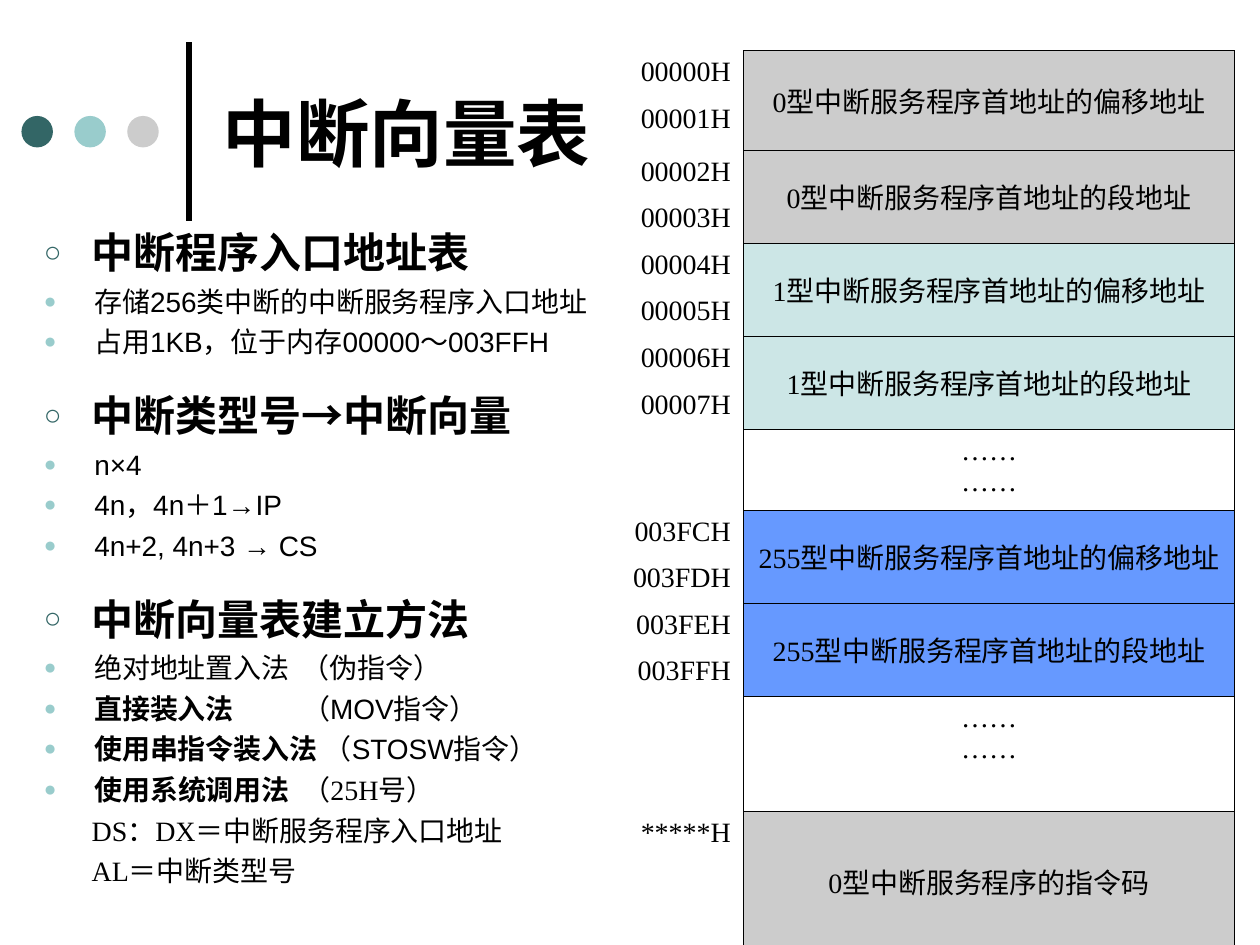
"""Build the interrupt vector table slide."""
from lxml.etree import SubElement
from pptx import Presentation
from pptx.dml.color import RGBColor
from pptx.enum.shapes import MSO_CONNECTOR, MSO_SHAPE
from pptx.enum.text import MSO_ANCHOR, PP_ALIGN
from pptx.oxml.ns import qn
from pptx.util import Inches, Pt


def paint(fill, color):
    fill.solid()
    fill.fore_color.rgb = RGBColor.from_string(color)


def add_text(paragraph, text, size=16, font="Arial", bold=False, alignment=PP_ALIGN.LEFT):
    paragraph.alignment = alignment
    run = paragraph.add_run()
    run.text = text
    run.font.size = Pt(size)
    run.font.name = font
    run.font.bold = bold
    paint(run.font.fill, "000000")


SERIF = "Times New Roman"
presentation = Presentation()
presentation.slide_width = Inches(10)
presentation.slide_height = Inches(7.5)
slide = presentation.slides.add_slide(presentation.slide_layouts[6])

divider = slide.shapes.add_connector(
    MSO_CONNECTOR.STRAIGHT, Inches(1.5), Inches(1.75), Inches(1.5), Inches(0.33))
paint(divider.line.fill, "000000")
divider.line.width = Pt(3)
SubElement(divider._element.spPr, qn("a:effectLst"))

for index, color in enumerate(["336666", "99CCCC", "CCCCCC"]):
    dot = slide.shapes.add_shape(
        MSO_SHAPE.OVAL, Inches(0.17 + 0.42 * index), Inches(0.92), Inches(0.25), Inches(0.25))
    dot.shadow.inherit = False
    paint(dot.fill, color)
    dot.line.fill.background()

title = slide.shapes.add_textbox(Inches(1.67), Inches(0.21), Inches(7.67), Inches(1.67))
title.text_frame.word_wrap = True
title.text_frame.vertical_anchor = MSO_ANCHOR.MIDDLE
add_text(title.text_frame.paragraphs[0], "中断向量表", size=42, bold=True)

row_heights = [0.37, 0.42] + [0.37] * 6 + [0.64] + [0.37] * 5 + [0.54, 0.64, 0.48]
addresses = {0: "00000H", 1: "00001H", 2: "00002H", 3: "00003H", 4: "00004H", 5: "00005H",
             6: "00006H", 7: "00007H", 9: "003FCH", 10: "003FDH", 11: "003FEH",
             12: "003FFH", 15: "*****H"}
entries = [
    (0, 2, "0型中断服务程序首地址的偏移地址", "CCCCCC"),
    (2, 2, "0型中断服务程序首地址的段地址", "CCCCCC"),
    (4, 2, "1型中断服务程序首地址的偏移地址", "CCE6E6"),
    (6, 2, "1型中断服务程序首地址的段地址", "CCE6E6"),
    (8, 1, "……\n……", None),
    (9, 2, "255型中断服务程序首地址的偏移地址", "6699FF"),
    (11, 2, "255型中断服务程序首地址的段地址", "6699FF"),
    (13, 2, "……\n……", None),
    (15, 2, "0型中断服务程序的指令码", "CCCCCC"),
]
table = slide.shapes.add_table(
    len(row_heights), 2, Inches(4.13), Inches(0.4), Inches(5.67), Inches(sum(row_heights))).table
table.first_row = False
table.horz_banding = False
table.columns[0].width = Inches(1.77)
table.columns[1].width = Inches(3.9)

for row, height in enumerate(row_heights):
    table.rows[row].height = Inches(height)
    for column in range(2):
        cell = table.cell(row, column)
        properties = cell._tc.get_or_add_tcPr()
        for side in ["lnL", "lnR", "lnT", "lnB"]:
            border = SubElement(properties, qn(f"a:{side}"), w=str(Pt(0.45)))
            if column == 1 or side == "lnR":
                color = SubElement(SubElement(border, qn("a:solidFill")), qn("a:srgbClr"))
                color.set("val", "000000")
            else:
                SubElement(border, qn("a:noFill"))
        cell.fill.background()
        if column == 1 or row not in addresses:
            cell.margin_top = cell.margin_bottom = 0
    if row in addresses:
        add_text(table.cell(row, 0).text_frame.paragraphs[0], addresses[row],
                 font=SERIF, alignment=PP_ALIGN.RIGHT)

for row, span, text, color in entries:
    cell = table.cell(row, 1)
    if span > 1:
        cell.merge(table.cell(row + span - 1, 1))
    cell.margin_top = cell.margin_bottom = Inches(0.05)
    if color:
        paint(cell.fill, color)
        cell.vertical_anchor = MSO_ANCHOR.MIDDLE
    for index, line in enumerate(text.split("\n")):
        paragraph = cell.text_frame.add_paragraph() if index else cell.text_frame.paragraphs[0]
        add_text(paragraph, line, font=SERIF, alignment=PP_ALIGN.CENTER)

styles = {
    "heading": dict(margin=0.38, before=18, bullet="○", color="336666", percent=70),
    "item": dict(margin=0.4, before=4, bullet="●", color="99CCCC", percent=75),
    "detail": dict(margin=0.38, before=4, bullet=None),
}
heading_format = dict(size=24, bold=True)
bold = dict(bold=True)
serif = dict(font=SERIF)
body_lines = [
    ("heading", [("中断程序入口地址表", heading_format)]),
    ("item", [("存储256类中断的中断服务程序入口地址", {})]),
    ("item", [("占用1KB，位于内存00000～003FFH", {})]),
    ("heading", [("中断类型号→中断向量", heading_format)]),
    ("item", [("n×4", {})]),
    ("item", [("4n，4n＋1→IP", {})]),
    ("item", [("4n+2, 4n+3 → CS", {})]),
    ("heading", [("中断向量表建立方法", heading_format)]),
    ("item", [("绝对地址置入法  （伪指令）", {})]),
    ("item", [("直接装入法\t ", bold), ("（MOV指令）", {})]),
    ("item", [("使用串指令装入法", bold), (" （STOSW指令）", {})]),
    ("item", [("使用", bold), ("系统调用", dict(bold=True, font=SERIF)), ("法  ", bold),
              ("（", {}), ("25H号）", serif)]),
    ("detail", [("DS：DX＝中断服务程序入口地址", serif)]),
    ("detail", [("AL＝中断类型号", serif)]),
]
body = slide.shapes.add_textbox(Inches(0.25), Inches(1.75), Inches(4.83), Inches(5.5))
body.text_frame.word_wrap = True
for index, (kind, runs) in enumerate(body_lines):
    style = styles[kind]
    paragraph = body.text_frame.add_paragraph() if index else body.text_frame.paragraphs[0]
    paragraph.space_before = Pt(style["before"] if index else 0)
    properties = paragraph._p.get_or_add_pPr()
    properties.set("marL", str(Inches(style["margin"])))
    if style["bullet"]:
        properties.set("indent", str(-Inches(style["margin"])))
        bullet_color = SubElement(properties, qn("a:buClr"))
        SubElement(bullet_color, qn("a:srgbClr"), val=style["color"])
        SubElement(properties, qn("a:buSzPct"), val=str(style["percent"] * 1000))
        SubElement(properties, qn("a:buFont"), typeface="Arial")
        SubElement(properties, qn("a:buChar"), char=style["bullet"])
    if any("\t" in text for text, _ in runs):
        tabs = SubElement(properties, qn("a:tabLst"))
        SubElement(tabs, qn("a:tab"), pos=str(Inches(2)), algn="l")
    for text, text_format in runs:
        add_text(paragraph, text, **text_format)

presentation.save("out.pptx")
